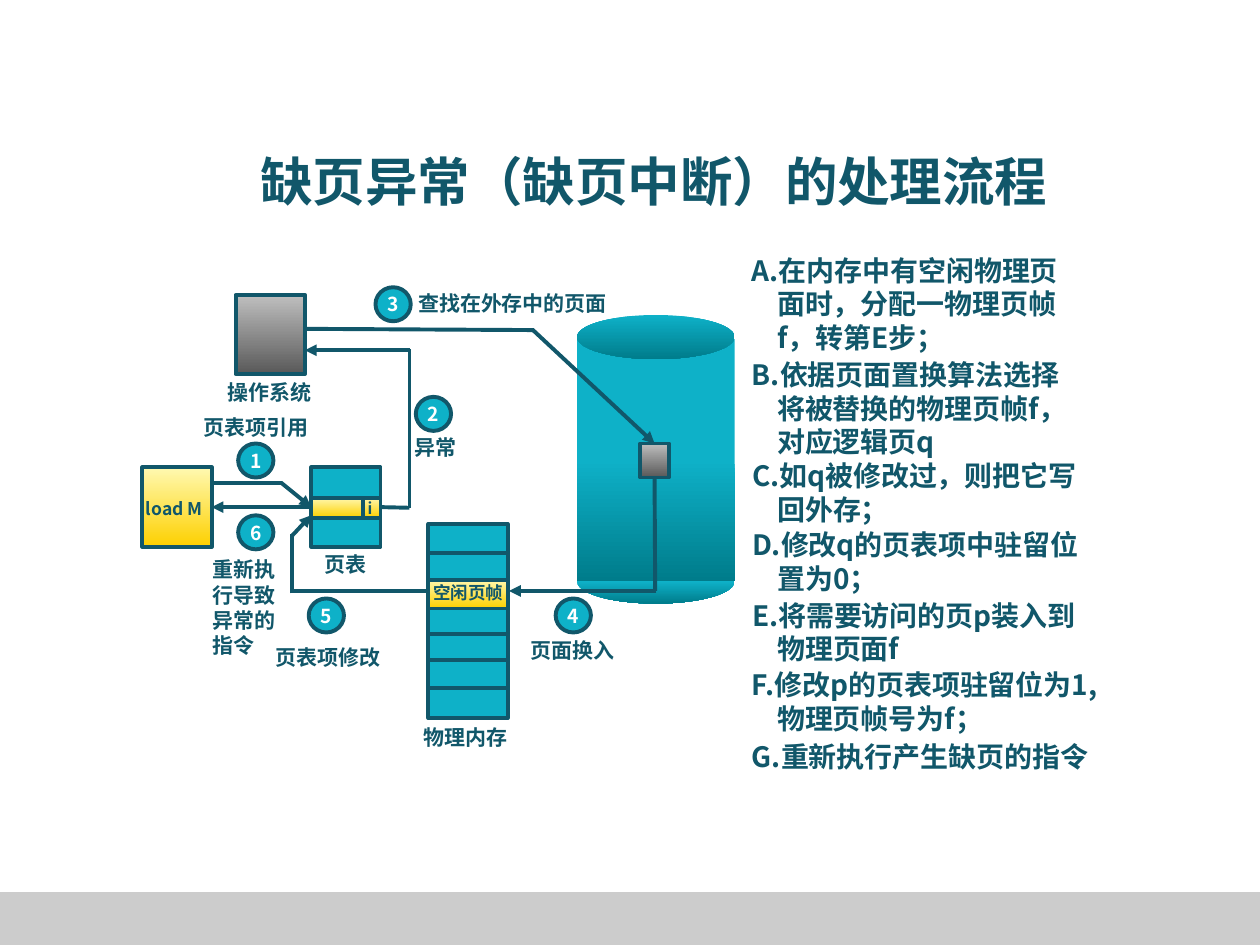
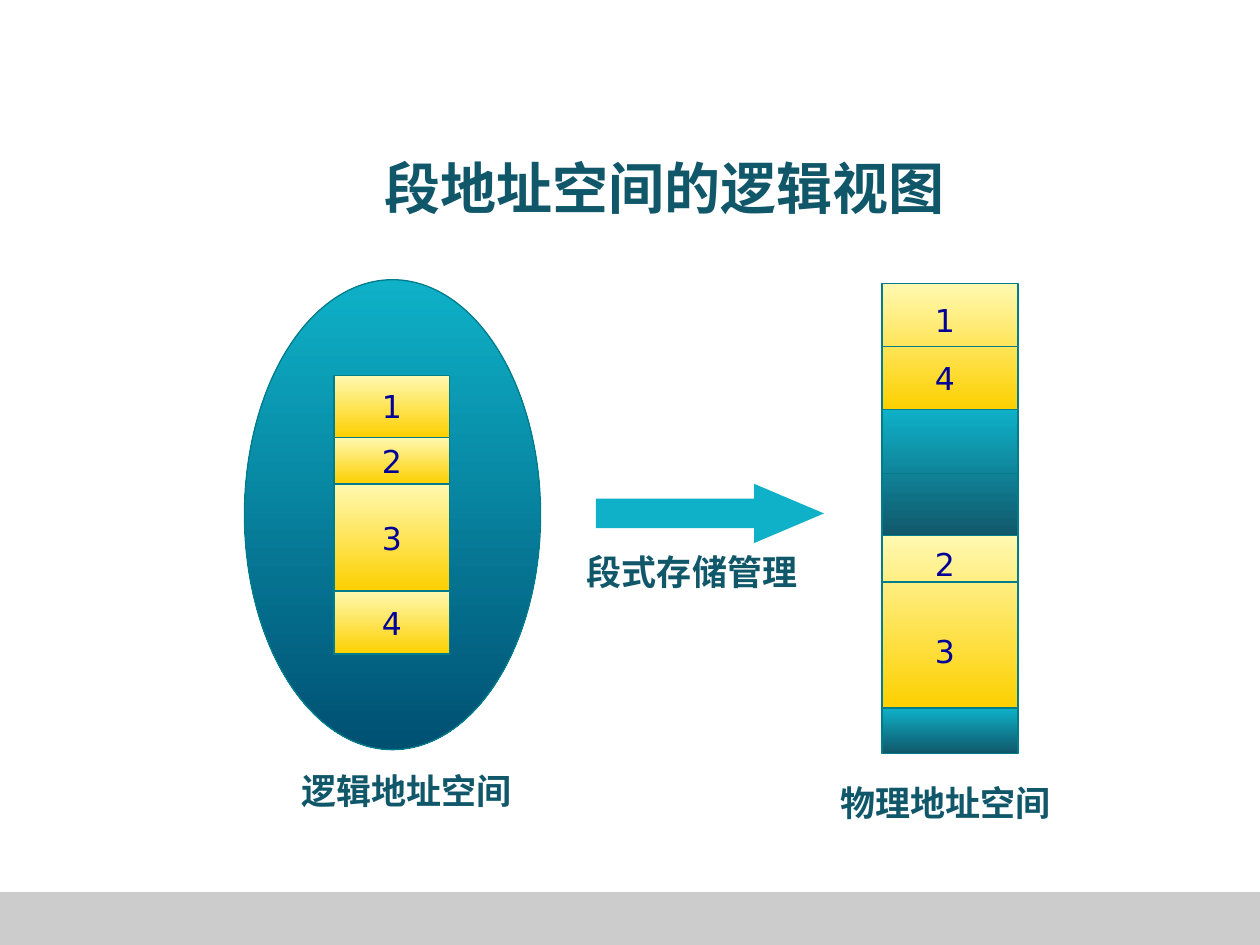
import pptx
import pptx.util
import pptx.dml.color
import pptx.enum.shapes
import pptx.enum.text
import pptx.oxml.ns
import lxml.etree

Inches = pptx.util.Inches
RGBColor = pptx.dml.color.RGBColor
SHAPE = pptx.enum.shapes.MSO_SHAPE
STRAIGHT = pptx.enum.shapes.MSO_CONNECTOR.STRAIGHT
MIDDLE = pptx.enum.text.MSO_ANCHOR.MIDDLE
CENTER = pptx.enum.text.PP_ALIGN.CENTER
LEFT = pptx.enum.text.PP_ALIGN.LEFT
qn = pptx.oxml.ns.qn

INK = RGBColor(0x11, 0x57, 0x6A)
AQUA = RGBColor(0x0E, 0xB1, 0xC8)
TEAL = RGBColor(0x00, 0x7C, 0x8B)
DEEP = RGBColor(0x00, 0x50, 0x72)
CREAM = RGBColor(0xFF, 0xF9, 0xB1)
GOLD = RGBColor(0xFD, 0xD0, 0x00)
SILVER = RGBColor(0xBF, 0xBF, 0xBF)
IRON = RGBColor(0x59, 0x59, 0x59)
BAND = RGBColor(0xCC, 0xCC, 0xCC)
WHITE = RGBColor(0xFF, 0xFF, 0xFF)
NAVY = RGBColor(0x00, 0x00, 0x99)
YELLOW = (CREAM, GOLD)
GREY = (SILVER, IRON)
CJK_FONT = "Noto Sans CJK SC"
NUMBER_FONT = "DejaVu Sans"


def add_shape(page, kind, at, fill, line=None, width=2.25, first_stop=0):
    shape = page.shapes.add_shape(kind, *map(Inches, at))
    shape.shadow.inherit = False
    if isinstance(fill, RGBColor):
        shape.fill.solid()
        shape.fill.fore_color.rgb = fill
    else:
        shape.fill.gradient()
        shape.fill.gradient_angle = 270
        for stop, color, position in zip(shape.fill.gradient_stops, fill, (first_stop, 1)):
            stop.color.rgb = color
            stop.position = position
    if line is None:
        shape.line.fill.background()
    else:
        shape.line.color.rgb = line
        shape.line.width = pptx.util.Pt(width)
    return shape


def write_text(box, text, size, color=INK, font=CJK_FONT, align=LEFT, wrap=True, anchor=None):
    frame = box.text_frame
    frame.text = text
    frame.word_wrap = wrap
    if anchor is not None:
        frame.vertical_anchor = anchor
    para = frame.paragraphs[0]
    para.alignment = align
    for span in para.runs:
        span.font.name = font
        span.font.size = pptx.util.Pt(size)
        span.font.bold = font == CJK_FONT
        span.font.color.rgb = color
        east_asian = lxml.etree.SubElement(span.font._element, qn("a:ea"))
        east_asian.set("typeface", font)
    return para


deck = pptx.Presentation()
deck.slide_width = Inches(10)
deck.slide_height = Inches(7.5)

pages = []
for title, at, size, align in [
    ("缺页异常（缺页中断）的处理流程", (1.87, 1.17, 6.64, 0.58), 30, CENTER),
    ("段地址空间的逻辑视图", (2.95, 1.17, 6.38, 0.64), 32, LEFT),
]:
    page = deck.slides.add_slide(deck.slide_layouts[6])
    add_shape(page, SHAPE.RECTANGLE, (0, 7.08, 10, 0.42), BAND)
    box = page.shapes.add_textbox(*map(Inches, at))
    para = write_text(box, title, size, align=align)
    if align == CENTER:
        para.line_spacing = 0.95
    pages.append(page)
fault_page, segment_page = pages

for kind, top, height, first_stop in [
    (SHAPE.OVAL, 4.44, 0.35, 0.5),
    (SHAPE.RECTANGLE, 2.69, 1.92, 0.5),
    (SHAPE.OVAL, 2.5, 0.35, 0),
]:
    add_shape(fault_page, kind, (4.58, top, 1.25, height), (AQUA, TEAL), first_stop=first_stop)

disk_page = add_shape(fault_page, SHAPE.RECTANGLE, (5.08, 3.52, 0.23, 0.27), GREY, INK)
system = add_shape(fault_page, SHAPE.RECTANGLE, (1.87, 2.34, 0.55, 0.63), GREY, INK)
load = add_shape(fault_page, SHAPE.RECTANGLE, (1.13, 3.71, 0.55, 0.63), YELLOW, INK)
page_table = add_shape(fault_page, SHAPE.RECTANGLE, (2.47, 3.71, 0.55, 0.63), AQUA, INK)
table_entry = add_shape(fault_page, SHAPE.RECTANGLE, (2.47, 3.95, 0.55, 0.16), YELLOW, INK)
memory = add_shape(fault_page, SHAPE.RECTANGLE, (3.4, 4.16, 0.63, 1.54), AQUA, INK)
free_frame = add_shape(fault_page, SHAPE.RECTANGLE, (3.4, 4.6, 0.63, 0.23), YELLOW, INK)

for number, (left, top) in enumerate(
    [(1.89, 3.52), (3.3, 3.15), (2.98, 2.28), (4.41, 4.75), (2.45, 4.75), (1.89, 4.09)], 1
):
    bubble = add_shape(fault_page, SHAPE.OVAL, (left, top, 0.28, 0.27), AQUA, INK)
    write_text(bubble, str(number), 11, WHITE, align=CENTER, wrap=False, anchor=MIDDLE)

for text, size, at in [
    ("查找在外存中的页面", 12, (3.22, 2.26, 1.87, 0.3)),
    ("页表项引用", 12, (1.52, 3.24, 1.1, 0.3)),
    ("异常", 12, (3.19, 3.4, 0.6, 0.3)),
    ("load M", 10, (1.06, 3.9, 0.7, 0.27)),
    ("重新执行导致异常的指令", 12, (1.59, 4.37, 0.79, 0.91)),
    ("i", 9, (2.82, 3.91, 0.23, 0.25)),
    ("页表", 12, (2.48, 4.33, 1.2, 0.3)),
    ("页表项修改", 12, (2.09, 5.07, 1.2, 0.3)),
    ("页面换入", 12, (4.11, 5.01, 1.2, 0.3)),
    ("空闲页帧", 10, (3.34, 4.57, 0.86, 0.27)),
    ("物理内存", 12, (3.26, 5.7, 1.02, 0.3)),
    ("操作系统", 12, (1.71, 2.96, 1.02, 0.3)),
]:
    write_text(fault_page.shapes.add_textbox(*map(Inches, at)), text, size)

for text, top, width, height in [
    ("在内存中有空闲物理页面时，分配一物理页帧f，转第E步；", 1.96, 2.8, 0.91),
    ("B.依据页面置换算法选择将被替换的物理页帧f，对应逻辑页q", 2.79, 2.8, 0.91),
    ("C.如q被修改过，则把它写回外存；", 3.59, 2.88, 0.64),
    ("D.修改q的页表项中驻留位置为0；", 4.14, 2.95, 0.64),
    ("E.将需要访问的页p装入到物理页面f", 4.7, 2.88, 0.64),
    ("F.修改p的页表项驻留位为1,物理页帧号为f；", 5.25, 3.03, 0.64),
    ("G.重新执行产生缺页的指令", 5.82, 3.03, 0.37),
]:
    box = fault_page.shapes.add_textbox(*map(Inches, (5.87, top, width, height)))
    para = write_text(box, text, 16)
    properties = para._p.get_or_add_pPr()
    properties.set("marL", str(Inches(0.2)))
    properties.set("indent", str(Inches(-0.2)))
    if not text.startswith(tuple("BCDEFG")):
        numbering = lxml.etree.SubElement(properties, qn("a:buAutoNum"))
        numbering.set("type", "alphaUcPeriod")

space = add_shape(segment_page, SHAPE.OVAL, (1.94, 2.22, 2.35, 3.73), (AQUA, DEEP), TEAL, 0.75)
top = 2.98
for number, height in enumerate([0.49, 0.37, 0.85, 0.5], 1):
    segment = add_shape(
        segment_page, SHAPE.RECTANGLE, (2.65, top, 0.92, height), YELLOW, TEAL, 0.75
    )
    write_text(segment, str(number), 18, NAVY, NUMBER_FONT, CENTER, False, MIDDLE)
    top += height

top = 2.25
for height, fill in [(1, YELLOW), (1, (AQUA, INK)), (1.37, YELLOW), (0.36, (AQUA, INK))]:
    add_shape(segment_page, SHAPE.RECTANGLE, (7, top, 1.08, height), fill, TEAL, 0.75)
    top += height

for number, top in [(1, 2.33), (4, 2.79), (2, 4.27), (3, 4.96)]:
    box = segment_page.shapes.add_textbox(*map(Inches, (7.32, top, 0.36, 0.41)))
    write_text(box, str(number), 18, NAVY, NUMBER_FONT, CENTER, False, MIDDLE)

mapping_arrow = add_shape(segment_page, SHAPE.RIGHT_ARROW, (4.73, 3.84, 1.81, 0.47), AQUA)
mapping_arrow.adjustments[0] = 0.5
mapping_arrow.adjustments[1] = 1.18

for text, at, align in [
    ("逻辑地址空间", (2.27, 6.05, 1.91, 0.44), CENTER),
    ("物理地址空间", (6.55, 6.15, 1.91, 0.44), CENTER),
    ("段式存储管理", (4.56, 4.32, 2.5, 0.44), LEFT),
]:
    box = segment_page.shapes.add_textbox(*map(Inches, at))
    centered = align == CENTER
    write_text(box, text, 20, align=align, wrap=not centered, anchor=MIDDLE if centered else None)

fault_lines = [
    ((2.43, 2.61), (4.24, 2.62), False, None, None),
    ((4.23, 2.62), (5.2, 3.52), True, None, (disk_page, 0)),
    ((3.02, 4.03), (3.25, 4.03), False, (page_table, 3), None),
    ((3.25, 4.03), (3.25, 2.77), False, None, None),
    ((3.25, 2.78), (2.42, 2.78), True, None, None),
    ((2.47, 4.03), (1.69, 4.03), True, (page_table, 1), (load, 3)),
    ((1.69, 3.83), (2.24, 3.83), False, None, None),
    ((2.23, 3.83), (2.47, 4.02), True, None, (page_table, 1)),
    ((2.88, 3.95), (2.88, 4.11), False, None, None),
    ((3.4, 4.69), (2.31, 4.69), False, None, None),
    ((2.32, 4.71), (2.32, 4.24), False, None, None),
    ((2.32, 4.25), (2.47, 4.09), True, None, None),
    ((5.2, 3.79), (5.2, 4.69), False, (disk_page, 2), None),
    ((5.21, 4.69), (4.04, 4.69), True, None, None),
]
for y in (4.39, 5.03, 5.24, 5.46):
    fault_lines.append(((3.4, y), (4.03, y), False, None, None))
segment_lines = [((7, y), (8.07, y), False, None, None) for y in (2.75, 3.76, 4.62)]

for page, lines, color, width in [
    (fault_page, fault_lines, INK, 2.25),
    (segment_page, segment_lines, TEAL, 0.75),
]:
    for start, end, arrow, start_joint, end_joint in lines:
        line = page.shapes.add_connector(STRAIGHT, *map(Inches, start + end))
        line.line.color.rgb = color
        line.line.width = pptx.util.Pt(width)
        if start_joint:
            line.begin_connect(*start_joint)
        if end_joint:
            line.end_connect(*end_joint)
        if arrow:
            tail = lxml.etree.SubElement(line.line._get_or_add_ln(), qn("a:tailEnd"))
            tail.set("type", "triangle")
        lxml.etree.SubElement(line._element.spPr, qn("a:effectLst"))

deck.save("out.pptx")
